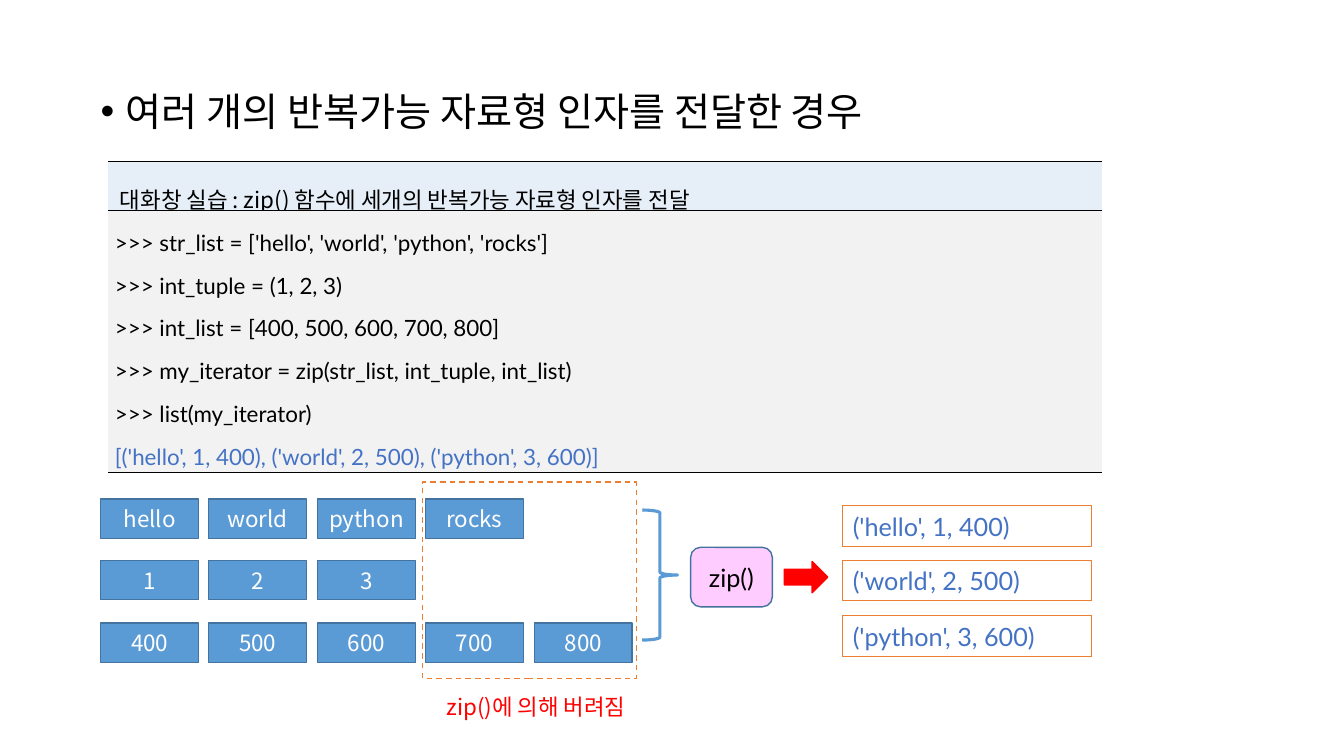
import dataclasses

import pptx
import pptx.dml.color
import pptx.enum.dml
import pptx.enum.shapes
import pptx.enum.text
import pptx.oxml
import pptx.oxml.ns
import pptx.util

PX = 9144  # 100 px to the inch
SHAPE = pptx.enum.shapes.MSO_SHAPE
ALIGN = pptx.enum.text.PP_ALIGN
ANCHOR = pptx.enum.text.MSO_ANCHOR


@dataclasses.dataclass(frozen=True)
class Theme:
    korean: str = "Noto Sans CJK KR"
    latin: str = "Lato"
    heading_size: int = 28
    call_size: int = 18
    text_size: int = 16
    black: str = "000000"
    white: str = "FFFFFF"
    header_fill: str = "E6EEF7"
    code_fill: str = "F2F2F2"
    output: str = "4472C4"
    item_fill: str = "5B9BD5"
    item_line: str = "43739E"
    zip_fill: str = "FFCCFF"
    orange: str = "ED7D31"
    red: str = "FF0000"


THEME = Theme()

CODE = [
    ">>> str_list = ['hello', 'world', 'python', 'rocks']",
    ">>> int_tuple = (1, 2, 3)",
    ">>> int_list = [400, 500, 600, 700, 800]",
    ">>> my_iterator = zip(str_list, int_tuple, int_list)",
    ">>> list(my_iterator)",
]
OUTPUT = "[('hello', 1, 400), ('world', 2, 500), ('python', 3, 600)]"
SEQUENCES = [
    ["hello", "world", "python", "rocks"],
    ["1", "2", "3"],
    ["400", "500", "600", "700", "800"],
]
RESULTS = ["('hello', 1, 400)", "('world', 2, 500)", "('python', 3, 600)"]


def emu(*lengths):
    return [pptx.util.Emu(length * PX) for length in lengths]


def rgb(color):
    return pptx.dml.color.RGBColor.from_string(color)


def add_xml(parent, xml):
    namespace = pptx.oxml.ns.nsdecls("a")
    parent.append(pptx.oxml.parse_xml(xml.replace(" ", f" {namespace} ", 1)))


def write(paragraph, text, size=THEME.text_size, font=THEME.korean,
          color=THEME.black, align=ALIGN.LEFT, spacing=None):
    paragraph.alignment = align
    paragraph.line_spacing = spacing
    run = paragraph.add_run()
    run.text = text
    run.font.size = pptx.util.Pt(size)
    run.font.name = font
    run.font.color.rgb = rgb(color)
    add_xml(run.font._element, f'<a:ea typeface="{font}"/>')


def add_figure(slide, kind, box, fill=None, line=THEME.item_line, width=1,
               text=None, **text_format):
    figure = slide.shapes.add_shape(kind, *emu(*box))
    figure.shadow.inherit = False
    if fill:
        figure.fill.solid()
        figure.fill.fore_color.rgb = rgb(fill)
    else:
        figure.fill.background()
    figure.line.color.rgb = rgb(line)
    figure.line.width = pptx.util.Pt(width)
    if text:
        figure.text_frame.word_wrap = True
        figure.text_frame.vertical_anchor = ANCHOR.MIDDLE
        write(figure.text_frame.paragraphs[0], text, **text_format)
    return figure


def add_label(slide, box, text, **text_format):
    frame = slide.shapes.add_textbox(*emu(*box)).text_frame
    frame.word_wrap = True
    write(frame.paragraphs[0], text, **text_format)
    return frame.paragraphs[0]


def add_heading(slide, box):
    heading = add_label(slide, box, "여러 개의 반복가능 자료형 인자를 전달한 경우",
                        size=THEME.heading_size, spacing=0.9)
    heading.space_before = pptx.util.Pt(10)
    properties = heading._p.get_or_add_pPr()
    indent, = emu(25)
    properties.set("marL", str(indent))
    properties.set("indent", str(-indent))
    add_xml(properties, '<a:buFont typeface="Arial"/>')
    add_xml(properties, '<a:buChar char="•"/>')


def style_cell(cell, fill, top_width):
    cell.margin_left, cell.margin_right, cell.margin_top, cell.margin_bottom = emu(7, 7, 2, 2)
    cell.vertical_anchor = ANCHOR.MIDDLE
    properties = cell._tc.get_or_add_tcPr()
    for side in "LR":
        add_xml(properties, f'<a:ln{side} w="0"><a:noFill/></a:ln{side}>')
    for side, width in (("T", top_width), ("B", 0.28)):
        add_xml(properties, f'<a:ln{side} w="{pptx.util.Pt(width)}"><a:solidFill>'
                            f'<a:srgbClr val="{THEME.black}"/></a:solidFill></a:ln{side}>')
    cell.fill.solid()
    cell.fill.fore_color.rgb = rgb(fill)


def add_session(slide, box):
    left, top, width, height = box
    header_height = 49
    session = slide.shapes.add_table(2, 1, *emu(left, top, width, height)).table
    session.first_row = session.horz_banding = False
    session.rows[0].height, session.rows[1].height = emu(header_height, height - header_height)
    header, code = session.cell(0, 0), session.cell(1, 0)
    style_cell(header, THEME.header_fill, 1)
    style_cell(code, THEME.code_fill, 0.28)
    write(header.text_frame.paragraphs[0],
          " 대화창 실습 : zip() 함수에 세개의 반복가능 자료형 인자를 전달",
          align=ALIGN.JUSTIFY, spacing=1.6)
    for index, text in enumerate(CODE + [OUTPUT]):
        frame = code.text_frame
        paragraph = frame.add_paragraph() if index else frame.paragraphs[0]
        write(paragraph, text, font=THEME.latin, align=ALIGN.JUSTIFY, spacing=1.6,
              color=THEME.output if text == OUTPUT else THEME.black)


def add_sequences(slide, box):
    left, top, width, height = box
    item_width, item_height = 97, 39
    for row, items in enumerate(SEQUENCES):
        for column, item in enumerate(items):
            x = left + (width - item_width) * column // 4
            y = top + (height - item_height) * row // 2
            add_figure(slide, SHAPE.RECTANGLE, (x, y, item_width, item_height),
                       fill=THEME.item_fill, text=item, color=THEME.white,
                       align=ALIGN.CENTER)


def add_zip_call(slide, box):
    left, top, width, height = box
    add_figure(slide, SHAPE.RIGHT_BRACE, (left, top, 35, height),
               line=THEME.item_fill, width=2.25)
    add_figure(slide, SHAPE.ROUNDED_RECTANGLE, (left + 48, top + 37, 81, 59),
               fill=THEME.zip_fill, text="zip()", size=THEME.call_size,
               font=THEME.latin, align=ALIGN.CENTER)
    add_figure(slide, SHAPE.RIGHT_ARROW, (left + width - 43, top + 51, 43, 31),
               fill=THEME.red, line=THEME.red)


def add_results(slide, box):
    left, top, width, height = box
    result_height = 40
    for row, result in enumerate(RESULTS):
        y = top + (height - result_height) * row // 2
        add_figure(slide, SHAPE.RECTANGLE, (left, y, width, result_height),
                   line=THEME.orange, width=0.75, text=result,
                   size=THEME.call_size, font=THEME.latin, color=THEME.output)


def add_discarded(slide, box):
    left, top, width, height = box
    frame = add_figure(slide, SHAPE.RECTANGLE, box, line=THEME.orange)
    frame.line.dash_style = pptx.enum.dml.MSO_LINE.DASH
    add_label(slide, (left + 14, top + height + 10, 222, 37),
              "zip()에 의해 버려짐", color=THEME.red)


def main():
    deck = pptx.Presentation()
    deck.slide_width, deck.slide_height = emu(1333, 750)
    slide = deck.slides.add_slide(deck.slide_layouts[6])

    # Heading and interactive session
    add_heading(slide, (90, 87, 1150, 476))
    add_session(slide, (107, 160, 986, 304))

    # Diagram: inputs, zip call, results, discarded items
    add_sequences(slide, (100, 495, 527, 162))
    add_zip_call(slide, (637, 506, 184, 129))
    add_results(slide, (836, 502, 247, 149))
    add_discarded(slide, (419, 478, 212, 195))

    deck.save("out.pptx")


if __name__ == "__main__":
    main()
